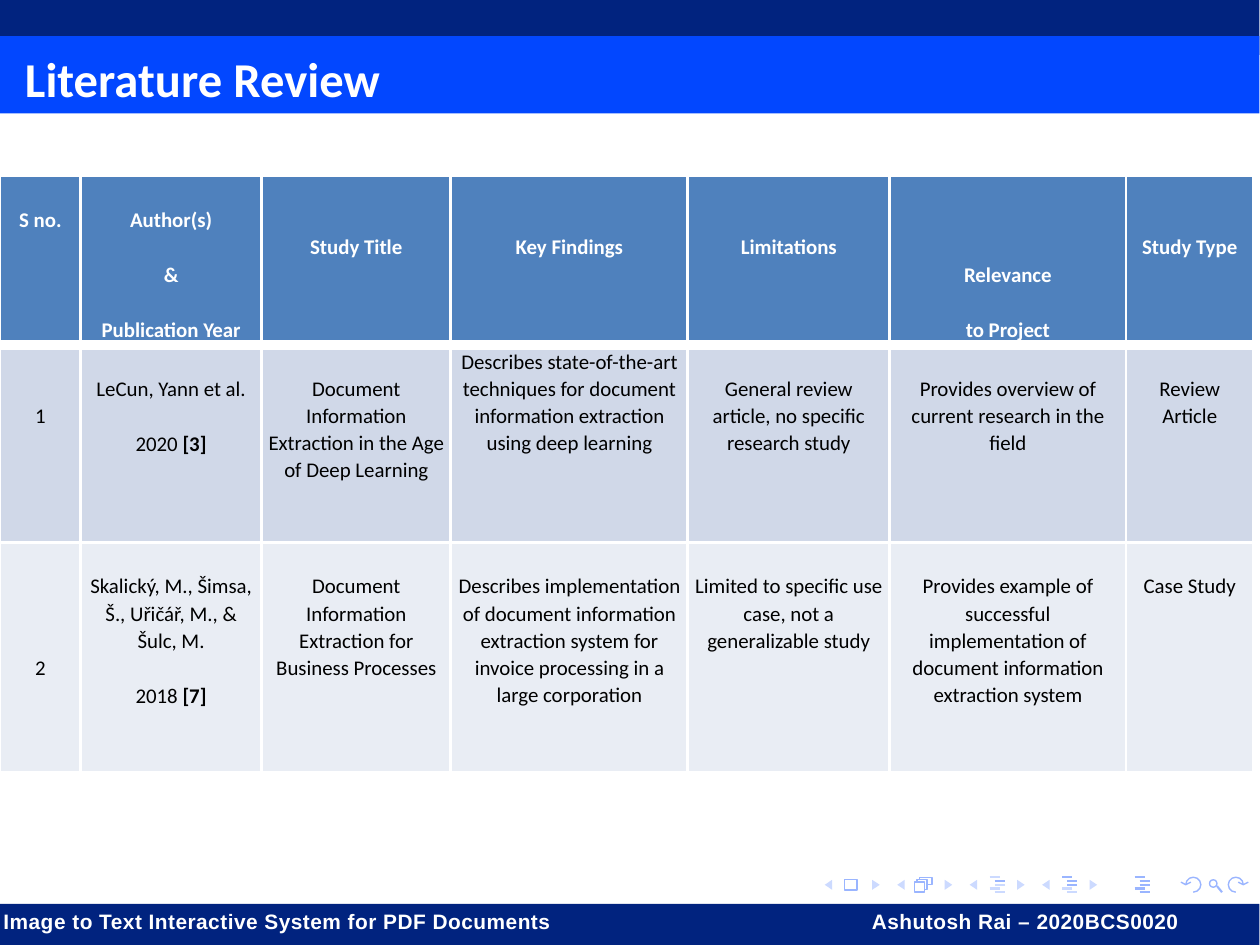
import math

from lxml import etree
from pptx import Presentation
from pptx.dml.color import RGBColor
from pptx.enum import shapes, text
from pptx.oxml import ns
from pptx import util as u

# Places are counted on a grid of 504 columns by 378 rows
UNIT = u.Inches(0.01)
COLS, ROWS = 504, 378
COLORS = {
    "navy": "01237F", "blue": "0247FF", "white": "FFFFFF", "black": "000000",
    "header": "4F81BD", "odd": "D0D8E8", "even": "E9EDF4",
    "symbol": "9AB5FF", "faint": "CCDAFF",
}
TEXT_ROW = 10.9  # height of one line of table text
COLUMN_WIDTHS = [32.3, 72.4, 75.8, 94.8, 80.8, 94.6, 51]
ROW_HEIGHTS = [67, 79, 92]
# Each cell: lines left free above, then its paragraphs
STUDIES = [
    [(1, "S no."), (1, "Author(s)", "&", "Publication Year"),
     (2, "Study Title"), (2, "Key Findings"), (2, "Limitations"),
     (1, "Relevance", "to Project"), (2, "Study Type")],
    [(2, "1"), (1, "LeCun, Yann et al.", "2020 [3]"),
     (1, "Document Information Extraction in the Age of Deep Learning"),
     (0, "Describes state-of-the-art techniques for document information "
         "extraction using deep learning"),
     (1, "General review article, no specific research study"),
     (1, "Provides overview of current research in the field"),
     (1, "Review Article")],
    [(4, "2"), (1, "Skalický, M., Šimsa, Š., Uřičář, M., & Šulc, M.", "2018 [7]"),
     (1, "Document Information Extraction for Business Processes"),
     (1, "Describes implementation of document information extraction system "
         "for invoice processing in a large corporation"),
     (1, "Limited to specific use case, not a generalizable study"),
     (1, "Provides example of successful implementation of document "
         "information extraction system"),
     (1, "Case Study")],
]


def grid(*counts):
    return [round(count * UNIT) for count in counts]


def rgb(name):
    return RGBColor.from_string(COLORS[name])


def set_all(target, **values):
    for name, value in values.items():
        setattr(target, name, value)


def add_run(paragraph, words, size, face, color, bold=True):
    run = paragraph.add_run()
    run.text = words
    set_all(run.font, size=u.Pt(size), name=face, bold=bold)
    run.font.color.rgb = rgb(color)
    return run


def add_band(slide, box, color):
    band = slide.shapes.add_shape(shapes.MSO_SHAPE.RECTANGLE, *grid(*box))
    band.shadow.inherit = False
    band.fill.solid()
    band.fill.fore_color.rgb = rgb(color)
    band.line.fill.background()


def add_outline(slide, strokes, fill=None, line=None, closed=True):
    """Draw strokes, lists of grid points, as one freeform."""
    first, *others = [[grid(*point) for point in stroke] for stroke in strokes]
    builder = slide.shapes.build_freeform(*first[0], scale=1.0)
    builder.add_line_segments(first[1:], close=closed)
    for stroke in others:
        builder.move_to(*stroke[0])
        builder.add_line_segments(stroke[1:], close=closed)
    outline = builder.convert_to_shape()
    outline.shadow.inherit = False
    if fill:
        outline.fill.solid()
        outline.fill.fore_color.rgb = rgb(fill)
        outline.line.fill.background()
    else:
        outline.fill.background()
        outline.line.color.rgb = rgb(line)
        outline.line.width = u.Pt(0.4)


def add_stroke(slide, start, end, color):
    stroke = slide.shapes.add_connector(
        shapes.MSO_CONNECTOR.STRAIGHT, *grid(*start, *end))
    stroke.line.color.rgb = rgb(color)
    stroke.line.width = u.Pt(0.6)
    etree.SubElement(stroke.element.spPr, ns.qn("a:effectLst"))


def arc(x, y, radius, start, end, side=1):
    step = 30 if end > start else -30
    angles = [math.radians(a) for a in range(start, end + step, step)]
    return [(x + side * radius * math.cos(a), y + radius * math.sin(a))
            for a in angles]


def navigation(slide, left, middle, pitch):
    centers = [left + pitch * index for index in range(5)]

    # Back and forward triangles
    for x in centers[:4]:
        add_outline(slide, [[(x + side * 8, middle - 2), (x + side * 8, middle + 2),
                             (x + side * 11, middle)] for side in (-1, 1)],
                    fill="faint")

    # Single page, then stacked pages
    x = centers[0]
    add_outline(slide, [[(x - 3, middle + 2), (x + 2, middle + 2),
                         (x + 2, middle - 2), (x - 3, middle - 2)]], line="symbol")
    x = centers[1]
    pages = [[(-4, 3), (0, 3), (0, -1), (-4, -1), (-4, 3)],
             [(-3, -1), (-3, -2), (1, -2), (1, 2), (0, 2)],
             [(-2, -2), (-2, -3), (3, -3), (3, 0), (1, 0)]]
    add_outline(slide, [[(x + dx, middle + dy) for dx, dy in page]
                        for page in pages], line="symbol", closed=False)

    # Text lines, with the dark ones listed for each group
    bars = [(-3, -3), (-1, -1.5), (-1, 0), (-3, 1.5), (-1, 3)]
    for x, dark in zip(centers[2:], [{1}, {0, 1, 2}, set(range(5))]):
        for index, (dx, dy) in enumerate(bars):
            add_stroke(slide, (x + dx, middle + dy), (x + dx + 4, middle + dy),
                       "symbol" if index in dark else "faint")

    # Magnifier between the undo and redo arrows
    x = centers[4] + pitch
    add_outline(slide, [arc(x - 0.5, middle - 0.5, 1.5, 0, 330)], line="symbol")
    add_stroke(slide, (x + 1, middle + 0.5), (x + 3, middle + 3), "symbol")
    for side in (1, -1):
        turn = x - side * 8.5
        tip = [(turn - side * dx, middle + dy) for dx, dy in
               [(1, -1), (3, 0), (5, -1)]]
        add_outline(slide, [arc(turn, middle, 3, 90, -180, side), tip],
                    line="symbol", closed=False)


def header(slide, top, height):
    add_band(slide, (0, 0, COLS, 22), "navy")
    add_band(slide, (0, top, COLS, height), "blue")
    heading = slide.shapes.title
    heading.element.getparent().append(heading.element)  # in front of the bands
    left, top, width, height = grid(0, top, COLS - 2, height + 3)
    set_all(heading, left=left, top=top, width=width, height=height)
    frame = heading.text_frame
    set_all(frame, vertical_anchor=text.MSO_ANCHOR.TOP, word_wrap=True,
            auto_size=text.MSO_AUTO_SIZE.NONE)
    frame.paragraphs[0].alignment = text.PP_ALIGN.LEFT
    add_run(frame.paragraphs[0], "Literature Review", 14, "Calibri", "white")


def set_borders(cell, row):
    weights = {"lnL": 1, "lnR": 1, "lnT": 3 if row == 1 else 1,
               "lnB": 3 if row == 0 else 1}
    properties = cell._tc.get_or_add_tcPr()
    for index, (edge, weight) in enumerate(weights.items()):
        line = etree.Element(ns.qn("a:" + edge), w=str(int(u.Pt(weight))))
        fill = etree.SubElement(line, ns.qn("a:solidFill"))
        etree.SubElement(fill, ns.qn("a:srgbClr"), val=COLORS["white"])
        properties.insert(index, line)


def review_table(slide, left, top):
    box = grid(left, top, sum(COLUMN_WIDTHS), sum(ROW_HEIGHTS))
    review = slide.shapes.add_table(
        len(ROW_HEIGHTS), len(COLUMN_WIDTHS), *box).table
    for column, width in zip(review.columns, grid(*COLUMN_WIDTHS)):
        column.width = width
    for row, height in zip(review.rows, grid(*ROW_HEIGHTS)):
        row.height = height

    for r, (study, color) in enumerate(zip(STUDIES, ["header", "odd", "even"])):
        for c, (skipped, *lines) in enumerate(study):
            cell = review.cell(r, c)
            side, above, below = grid(2.5, 1 + skipped * TEXT_ROW, 1)
            set_all(cell, margin_left=side, margin_right=side, margin_top=above,
                    margin_bottom=below, vertical_anchor=text.MSO_ANCHOR.TOP)
            cell.fill.solid()
            cell.fill.fore_color.rgb = rgb(color)
            set_borders(cell, r)
            for index, line in enumerate(lines):
                frame = cell.text_frame
                paragraph = frame.add_paragraph() if index else frame.paragraphs[0]
                set_all(paragraph, alignment=text.PP_ALIGN.CENTER,
                        line_spacing=1.07, space_after=u.Pt(8))
                words, bracket, rest = line.partition("[")
                ink = "black" if r else "white"
                add_run(paragraph, words, 6, "Calibri", ink, bold=r == 0)
                if bracket:
                    add_run(paragraph, bracket + rest, 6, "Calibri", ink)
    review.cell(0, 5).vertical_anchor = text.MSO_ANCHOR.BOTTOM


def footer(slide, top, author_left):
    add_band(slide, (0, top, COLS, ROWS - top), "navy")
    credits = slide.shapes.add_textbox(*grid(0, top, 477, 22))
    frame = credits.text_frame
    set_all(frame, word_wrap=True, margin_left=0, margin_right=0,
            margin_top=grid(2)[0], margin_bottom=0)
    paragraph = frame.paragraphs[0]
    paragraph.space_before = u.Pt(1.4)
    properties = paragraph._p.get_or_add_pPr()
    properties.set("marL", str(grid(1.4)[0]))
    stops = etree.SubElement(properties, ns.qn("a:tabLst"))
    etree.SubElement(stops, ns.qn("a:tab"), pos=str(grid(author_left)[0]), algn="l")
    run = add_run(paragraph, "Image to Text Interactive System for PDF Documents"
                  "\tAshutosh Rai – 2020BCS0020", 6, "Arial", "white")
    run._r.get_or_add_rPr().set("spc", "13")


def main():
    deck = Presentation()
    deck.slide_width = u.Pt(363)
    deck.slide_height = u.Pt(272.5)
    slide = deck.slides.add_slide(deck.slide_layouts.get_by_name("Title Only"))
    navigation(slide, left=341, middle=354, pitch=29)
    header(slide, top=14.4, height=31)
    review_table(slide, left=0, top=70.3)
    footer(slide, top=361.6, author_left=347.5)
    deck.save("out.pptx")


if __name__ == "__main__":
    main()
